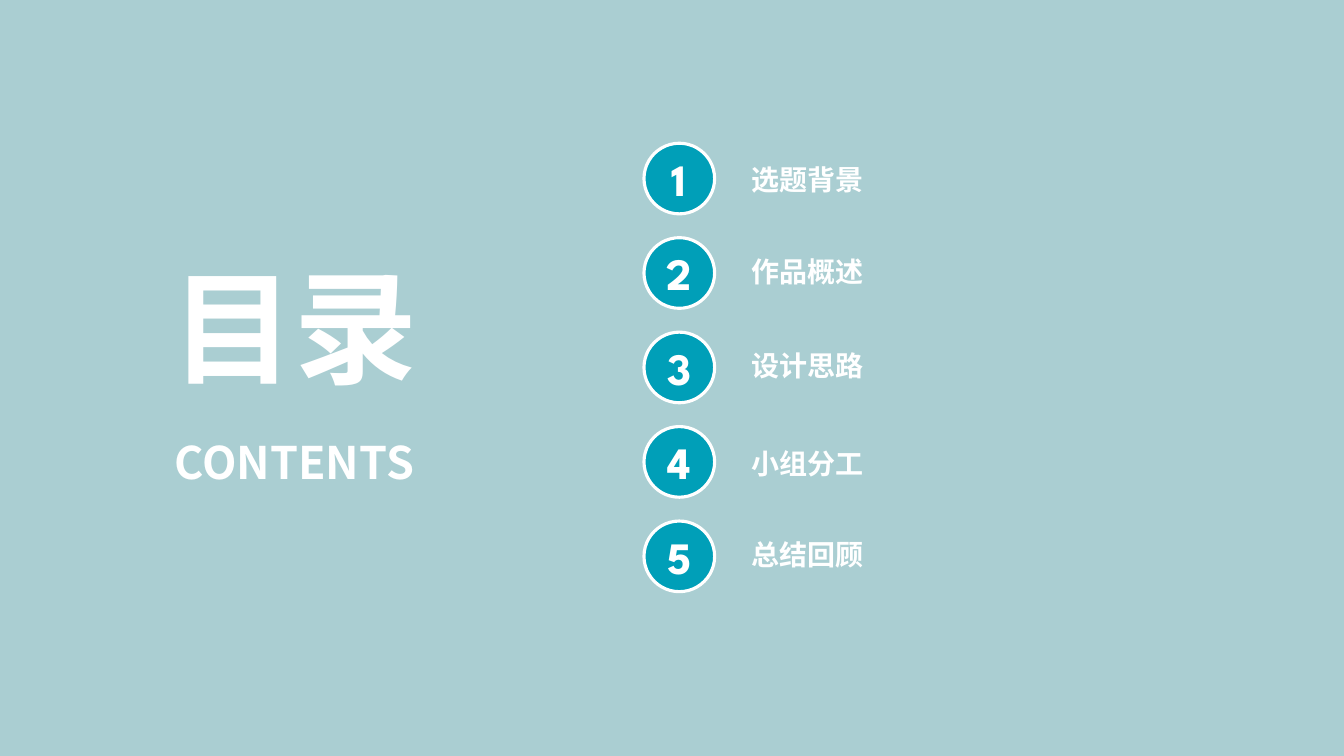
import pptx
import pptx.util
import pptx.dml.color
import pptx.enum.shapes
import pptx.enum.text
import pptx.oxml.ns
from lxml import etree
from pptx.util import Cm

COLORS = {"background": "AACED2", "badge": "009FB8", "white": "FFFFFF"}
ALIGN = pptx.enum.text.PP_ALIGN
TEXT_FONT = "Noto Sans CJK SC"
NUMBER_FONT = "League Spartan"


def color(name):
    return pptx.dml.color.RGBColor.from_string(COLORS[name])


def write(box, text, size, font, align, spacing=0.9):
    frame = box.text_frame
    frame.word_wrap = True
    frame.auto_size = pptx.enum.text.MSO_AUTO_SIZE.NONE
    frame.vertical_anchor = pptx.enum.text.MSO_ANCHOR.MIDDLE
    para = frame.paragraphs[0]
    para.alignment = align
    para.line_spacing = spacing
    para.space_before = pptx.util.Pt(0)
    span = para.add_run()
    span.text = text
    span.font.size = pptx.util.Pt(size)
    span.font.bold = True
    span.font.name = font
    span.font.color.rgb = color("white")
    east_asian = etree.SubElement(span.font._element, pptx.oxml.ns.qn("a:ea"))
    east_asian.set("typeface", font)


deck = pptx.Presentation()
deck.slide_width = Cm(33.87)
deck.slide_height = Cm(19.05)
page = deck.slides.add_slide(deck.slide_layouts[5])
page.background.fill.solid()
page.background.fill.fore_color.rgb = color("background")

title = page.shapes.title
title.left, title.top, title.width, title.height = Cm(2.62), Cm(6.05), Cm(9.6), Cm(4.75)
write(title, "目录", 88, TEXT_FONT, ALIGN.CENTER)

subtitle = page.shapes.add_textbox(Cm(2.62), Cm(10.8), Cm(9.6), Cm(1.85))
write(subtitle, "CONTENTS", 32, TEXT_FONT, ALIGN.CENTER)

badge_size = 1.78
badge_pitch = 2.38
label_height = 0.94
sections = [
    ("选题背景", 4.56),
    ("作品概述", 6.9),
    ("设计思路", 9.25),
    ("小组分工", 11.72),
    ("总结回顾", 14.01),
]

for index, (name, label_middle) in enumerate(sections):
    badge = page.shapes.add_shape(
        pptx.enum.shapes.MSO_SHAPE.OVAL,
        Cm(16.23), Cm(3.61 + index * badge_pitch), Cm(badge_size), Cm(badge_size))
    badge.shadow.inherit = False
    badge.fill.solid()
    badge.fill.fore_color.rgb = color("badge")
    badge.line.color.rgb = color("white")
    badge.line.width = pptx.util.Pt(2.25)
    frame = badge.text_frame
    frame.margin_left = frame.margin_right = frame.margin_top = frame.margin_bottom = 0
    write(badge, str(index + 1), 32, NUMBER_FONT, ALIGN.CENTER, 1.0)

    label = page.shapes.add_textbox(
        Cm(18.69), Cm(label_middle - label_height / 2), Cm(10.49), Cm(label_height))
    write(label, name, 20, TEXT_FONT, ALIGN.LEFT)

deck.save("out.pptx")
